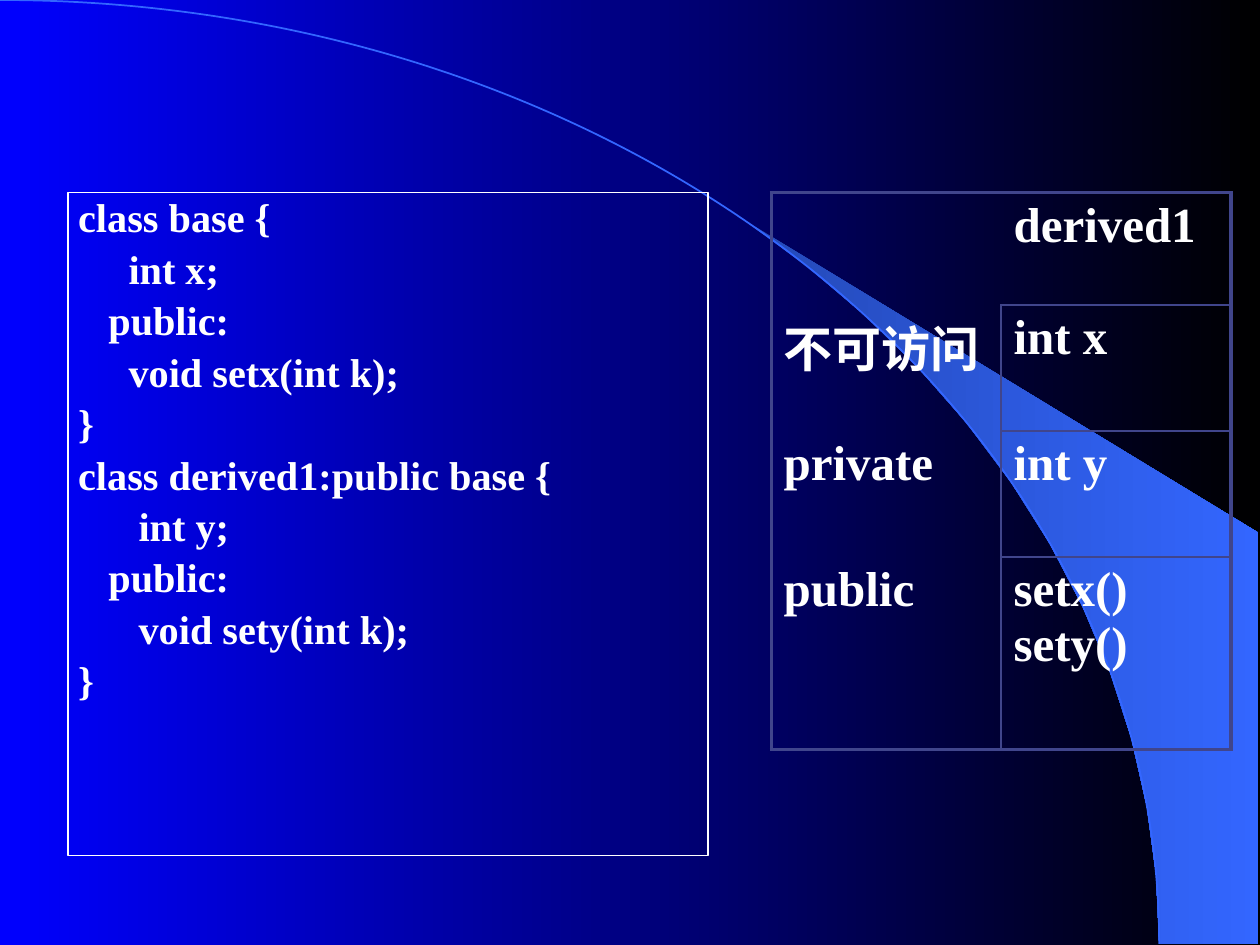
import math

import lxml.etree
import pptx
import pptx.dml.color
import pptx.enum.text
import pptx.oxml.ns
import pptx.util

WHITE = pptx.dml.color.RGBColor(0xFF, 0xFF, 0xFF)
BLACK = pptx.dml.color.RGBColor(0x00, 0x00, 0x00)
BLUE = pptx.dml.color.RGBColor(0x00, 0x00, 0xFF)
SKY = pptx.dml.color.RGBColor(0x33, 0x66, 0xFF)
DEEP_SKY = pptx.dml.color.RGBColor(0x24, 0x49, 0xB6)
BORDER = pptx.dml.color.RGBColor(0x40, 0x45, 0x8C)
inches = pptx.util.Inches
qn = pptx.oxml.ns.qn


def set_gradient(fill, colors):
    """Fill from left to right with two colours."""
    fill.gradient()
    fill.gradient_angle = 0
    for stop, color in zip(fill.gradient_stops, colors):
        stop.color.rgb = color


def add_text(para, text, size):
    """Add one bold white run to a paragraph."""
    span = para.add_run()
    span.text = text
    span.font.color.rgb = WHITE
    font_format = {"name": "Times New Roman", "size": pptx.util.Pt(size), "bold": True}
    for name, value in font_format.items():
        setattr(span.font, name, value)


deck = pptx.Presentation()
deck.slide_width, deck.slide_height = inches(10), inches(7.5)
page = deck.slides.add_slide(deck.slide_layouts[6])
set_gradient(page.background.fill, (BLUE, BLACK))

# Quarter ellipse as one curve, and the shaded area between it and its tangent
ARC_WIDTH, ARC_HEIGHT, RIGHT, TANGENT_X = 9.2, 7.49, 9.99, 5.89
STEPS = 12
tangent_angle = math.asin(TANGENT_X / ARC_WIDTH)
angles = [tangent_angle + (math.pi / 2 - tangent_angle) * step / STEPS
          for step in range(STEPS + 1)]
edge_points = [(ARC_WIDTH * math.sin(angle), ARC_HEIGHT * (1 - math.cos(angle)))
               for angle in angles]
edge_points += [(RIGHT, ARC_HEIGHT), (RIGHT, 4.23)]
arc_controls = [(0, 0), (5.08, 0), (ARC_WIDTH, 3.35), (ARC_WIDTH, ARC_HEIGHT)]

for points, closed in ((edge_points, True), (arc_controls, False)):
    corners = [(inches(x), inches(y)) for x, y in points]
    builder = page.shapes.build_freeform(*corners[0], scale=1.0)
    builder.add_line_segments(corners[1:], close=closed)
    curve = builder.convert_to_shape()
    curve.shadow.inherit = False
    if closed:
        set_gradient(curve.fill, (DEEP_SKY, SKY))
        curve.line.fill.background()
    else:
        curve.fill.background()
        curve.line.color.rgb = SKY
        curve.line.width = pptx.util.Pt(1)
        outline = next(curve._element.iter(qn("a:path")))
        segments = outline.findall(qn("a:lnTo"))
        bezier = lxml.etree.SubElement(outline, qn("a:cubicBezTo"))
        for segment in segments:
            bezier.append(segment[0])
            outline.remove(segment)

# Access table
ROW_HEIGHTS = (0.89, 1, 1, 1.53)
TABLE_WIDTH = 3.65
ACCESS_ROWS = (("", "derived1"), ("不可访问", "int x"),
               ("private", "int y"), ("public", "setx()\nsety()"))
LAST = len(ACCESS_ROWS) - 1
frame = page.shapes.add_table(len(ACCESS_ROWS), 2, inches(6.12), inches(1.53),
                              inches(TABLE_WIDTH), inches(sum(ROW_HEIGHTS)))
table = frame.table
table.first_row = table.horz_banding = False
for column in table.columns:
    column.width = inches(TABLE_WIDTH / 2)
for row_index, texts in enumerate(ACCESS_ROWS):
    table.rows[row_index].height = inches(ROW_HEIGHTS[row_index])
    for column_index, text in enumerate(texts):
        cell = table.cell(row_index, column_index)
        cell.fill.background()
        for index, line in enumerate(text.split("\n") if text else ()):
            para = cell.text_frame.add_paragraph() if index else cell.text_frame.paragraphs[0]
            add_text(para, line, 28)
        inner = 1 if row_index else 0
        borders = {
            "lnL": inner if column_index else 2,
            "lnR": 2 if column_index else inner,
            "lnT": (1 if column_index else 0) if row_index else 2,
            "lnB": 2 if row_index == LAST else column_index,
        }
        properties = cell._tc.get_or_add_tcPr()
        for position, (side, width) in enumerate(borders.items()):
            line = lxml.etree.Element(qn("a:" + side), w=str(pptx.util.Pt(width)))
            if width:
                solid = lxml.etree.SubElement(line, qn("a:solidFill"))
                lxml.etree.SubElement(solid, qn("a:srgbClr"), val=str(BORDER))
            else:
                lxml.etree.SubElement(line, qn("a:noFill"))
            properties.insert(position, line)

# Code listing, indented by widths of a space
SPACE = 0.08
CODE = ((0, "class base {"), (5, "int x;"), (3, "public:"), (5, "void setx(int k);"),
        (0, "}"), (0, "class derived1:public base {"), (6, "int y;"), (3, "public:"),
        (6, "void sety(int k);"), (0, "}"))
box = page.shapes.add_textbox(inches(0.54), inches(1.53), inches(5.08), inches(5.26))
box.line.color.rgb = WHITE
box.line.width = pptx.util.Pt(0.75)
frame_format = {"word_wrap": True, "vertical_anchor": pptx.enum.text.MSO_ANCHOR.TOP,
                "margin_left": inches(0.08), "margin_right": inches(0.08),
                "margin_top": inches(0.04), "margin_bottom": inches(0.04)}
for name, value in frame_format.items():
    setattr(box.text_frame, name, value)
for index, (spaces, line) in enumerate(CODE):
    para = box.text_frame.add_paragraph() if index else box.text_frame.paragraphs[0]
    para.line_spacing = 0.9
    para.space_before = pptx.util.Pt(4.6)
    para._p.get_or_add_pPr().set("marL", str(inches(SPACE * spaces)))
    add_text(para, line, 23)

deck.save("out.pptx")
